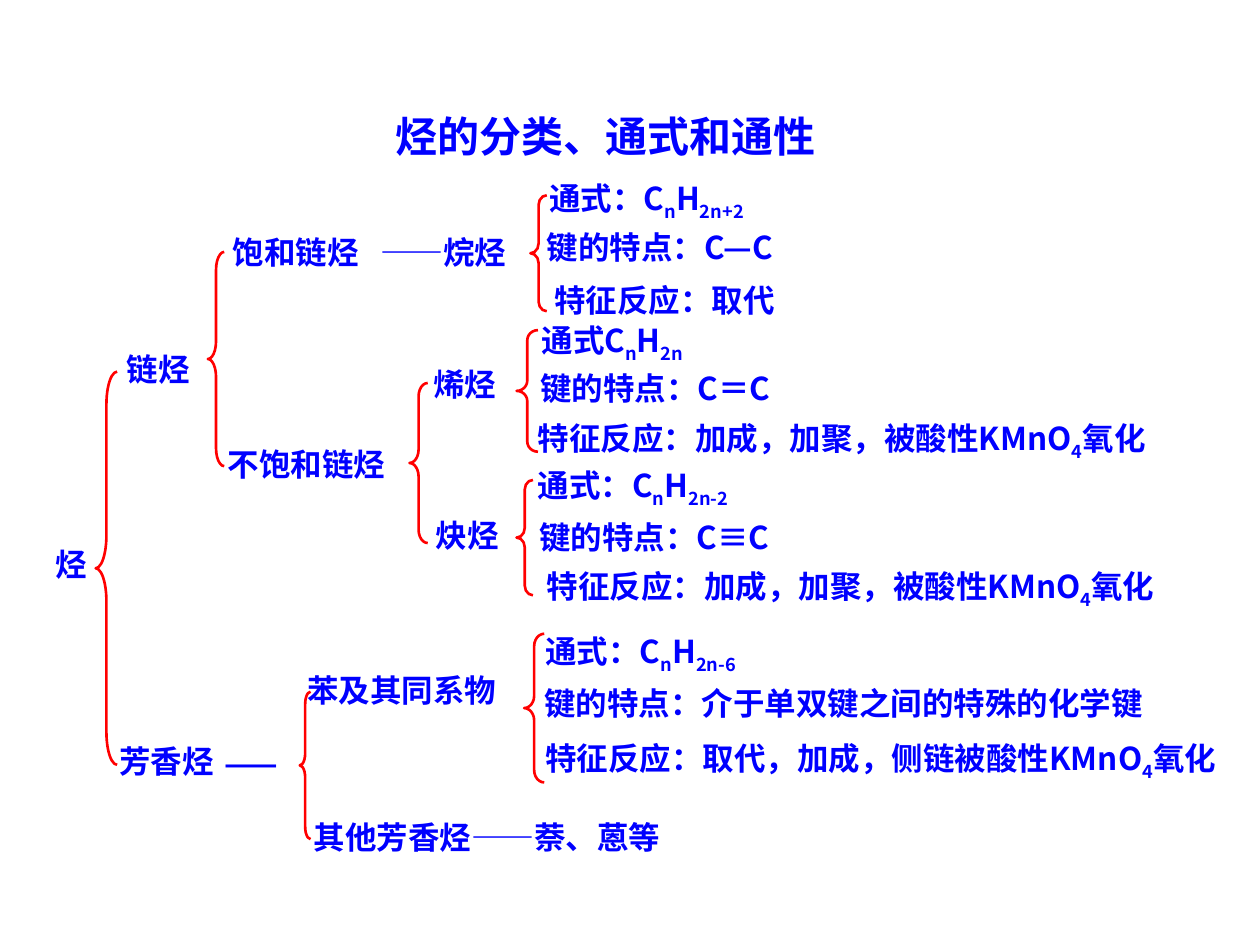
"""Build a slide that classifies hydrocarbons in a tree of braces."""
from lxml.etree import SubElement
from pptx import Presentation
from pptx.dml.color import RGBColor as RGB
from pptx.enum.shapes import MSO_SHAPE as SHAPE
from pptx.enum.text import MSO_AUTO_SIZE as FIT
from pptx.oxml.ns import qn
from pptx.util import Inches, Pt

COLORS = {"text": "0000FF", "brace": "FF0000"}
FONT = "Noto Sans CJK SC"

prs = Presentation()
prs.slide_width, prs.slide_height = Inches(10), Inches(7.5)
COL, ROW = prs.slide_width / 100, prs.slide_height / 75
s = prs.slides.add_slide(prs.slide_layouts[6])


def grid(left, top, width, height):
    return int(left * COL), int(top * ROW), int(width * COL), int(height * ROW)


def add_label(text, left, top, width, height=4, size=18):
    tf = s.shapes.add_textbox(*grid(left, top, width, height)).text_frame
    tf.word_wrap = True
    tf.auto_size = FIT.SHAPE_TO_FIT_TEXT
    p = tf.paragraphs[0]
    for i, part in enumerate(text.split("|")):
        r = p.add_run()
        r.text = part
        r.font.size, r.font.bold, r.font.name = Pt(size), True, FONT
        r.font.color.rgb = RGB.from_string(COLORS["text"])
        rPr = r._r.get_or_add_rPr()
        SubElement(rPr, qn("a:ea")).set("typeface", FONT)
        if i % 2:
            rPr.set("baseline", "-25000")


braces = [
    (7.6, 29.5, 1.7, 31.2),
    (16.5, 20, 1.3, 17),
    (32.5, 30.4, 1.45, 12.7),
    (23.8, 54.9, 0.85, 11.7),
    (42.1, 15.5, 1.3, 9.2),
    (41, 26.2, 1.7, 9.65),
    (41, 38.1, 1.3, 9.15),
    (41.6, 50.3, 1.6, 11.8),
]
for left, top, width, height in braces:
    sp = s.shapes.add_shape(SHAPE.LEFT_BRACE, *grid(left, top, width, height))
    sp.adjustments[0] = height / width / 12
    sp.shadow.inherit = False
    sp.fill.background()
    sp.line.color.rgb = RGB.from_string(COLORS["brace"])
    sp.line.width = Pt(1.5)

add_label("烃的分类、通式和通性", 30.4, 8.3, 40.6, 5, 24)

classes = [
    ("烃", 3.4, 42.8, 12.6),
    ("链烃", 9.1, 27.3, 12.6),
    ("芳香烃", 8.5, 58.4, 24.3),
    ("——", 16.8, 58.6, 24.3),
    ("饱和链烃", 17.5, 18, 38.9),
    ("——烷烃", 29.2, 18, 14.3),
    ("不饱和链烃", 17.1, 34.8, 38.9),
    ("烯烃", 33.4, 28.5, 12.6),
    ("炔烃", 33.6, 40.5, 12.6),
    ("苯及其同系物", 23.4, 52.8, 25.4),
    ("其他芳香烃——萘、蒽等", 23.9, 64.4, 38.9),
]
for text, left, top, width in classes:
    add_label(text, left, top, width)

properties = [
    ("通式：C|n|H|2n+2", 42.6, 13.7, 23.8, 4.4),
    ("键的特点：C—C", 42.4, 17.6, 28.2, 4),
    ("特征反应：取代", 43, 21.8, 31.4, 4),
    ("通式C|n|H|2n", 42, 25, 31.4, 4.4),
    ("键的特点：C＝C", 41.9, 28.8, 31.4, 4),
    ("特征反应：加成，加聚，被酸性KMnO|4|氧化", 41.7, 32.8, 57.2, 4.4),
    ("通式：C|n|H|2n-2", 41.7, 36.5, 31.4, 4.4),
    ("键的特点：C≡C", 41.8, 40.6, 31.4, 4),
    ("特征反应：加成，加聚，被酸性KMnO|4|氧化", 42.4, 44.5, 55.9, 4.4),
    ("通式：C|n|H|2n-6", 42.3, 49.7, 31.4, 4.4),
    ("键的特点：介于单双键之间的特殊的化学键", 42.2, 53.8, 56.9, 4),
    ("特征反应：取代，加成，侧链被酸性KMnO|4|氧化", 42.3, 58.2, 55.5, 7.4),
]
for text, left, top, width, height in properties:
    add_label(text, left, top, width, height)

prs.save("out.pptx")
